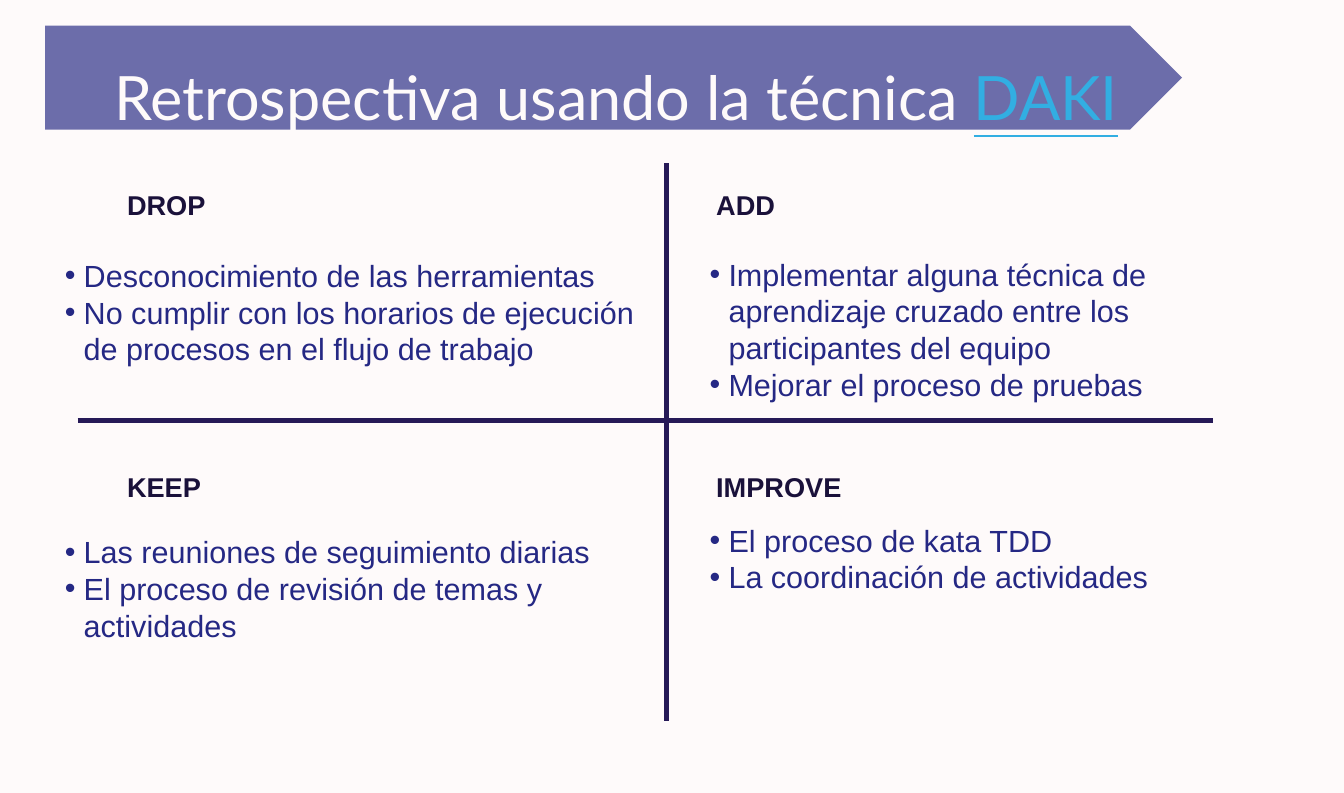
import pptx
import pptx.dml.color
import pptx.enum.shapes
import pptx.enum.text
import pptx.oxml.ns
import pptx.util
from lxml import etree

Inches = pptx.util.Inches
Pt = pptx.util.Pt
RGBColor = pptx.dml.color.RGBColor
Anchor = pptx.enum.text.MSO_ANCHOR
Align = pptx.enum.text.PP_ALIGN
AutoSize = pptx.enum.text.MSO_AUTO_SIZE

PAPER = RGBColor(0xFE, 0xFA, 0xFA)
INDIGO = RGBColor(0x25, 0x28, 0x84)
AXIS = RGBColor(0x26, 0x19, 0x57)
HEADING = RGBColor(0x1A, 0x11, 0x3A)
SKY = RGBColor(0x32, 0xAE, 0xE2)

TITLE_FONT = dict(name="Lato", size=Pt(72))
HEADING_FONT = dict(name="Arial", size=Pt(32), bold=True)
LIST_FONT = dict(name="Arial", size=Pt(36), bold=False)

COMPARISON_LAYOUT = 4
HEADING_LEFTS = (1.98, 11.62)
LIST_LEFTS = (0.96, 11.51)
HEADING_TOPS = (3.03, 7.65)

# Heading, top and height of its list, list items; row by row
QUADRANTS = [
    ("DROP", 4.15, 1.92, [
        "Desconocimiento de las herramientas",
        "No cumplir con los horarios de ejecución de procesos en el flujo de trabajo"]),
    ("ADD", 4.13, 2.52, [
        "Implementar alguna técnica de aprendizaje cruzado entre los participantes del equipo",
        "Mejorar el proceso de pruebas"]),
    ("KEEP", 8.67, 1.92, [
        "Las reuniones de seguimiento diarias",
        "El proceso de revisión de temas y actividades"]),
    ("IMPROVE", 8.48, 1.31, [
        "El proceso de kata TDD",
        "La coordinación de actividades"]),
]


def apply(target, values):
    for name, value in values.items():
        setattr(target, name, value)


def add_xml(parent, tag, **attributes):
    return etree.SubElement(parent, pptx.oxml.ns.qn(tag), attributes)


class RetroPage:
    """Draws the elements of one page in a shared style."""

    def __init__(self, page):
        self.page = page
        page.background.fill.solid()
        page.background.fill.fore_color.rgb = PAPER

    def place(self, shape, left, top, width, height):
        apply(shape, dict(left=Inches(left), top=Inches(top),
                          width=Inches(width), height=Inches(height)))

    def add_span(self, para, text, font, color):
        span = para.add_run()
        span.text = text
        apply(span.font, font)
        span.font.color.rgb = color

    def banner(self, left, top, width, height):
        arrow = self.page.shapes.add_shape(
            pptx.enum.shapes.MSO_SHAPE.PENTAGON,
            Inches(left), Inches(top), Inches(width), Inches(height))
        arrow.shadow.inherit = False
        arrow.line.fill.background()
        arrow.fill.solid()
        arrow.fill.fore_color.rgb = INDIGO
        color = arrow._element.spPr.find(".//" + pptx.oxml.ns.qn("a:srgbClr"))
        add_xml(color, "a:alpha", val="67000")
        # Bring the title in front of the banner
        title = self.page.shapes.title
        arrow._element.addnext(title._element)

    def title(self, left, top, width, height, parts):
        title = self.page.shapes.title
        self.place(title, left, top, width, height)
        apply(title.text_frame, dict(
            word_wrap=True, auto_size=AutoSize.NONE, vertical_anchor=Anchor.MIDDLE,
            margin_left=Inches(0.6)))
        para = title.text_frame.paragraphs[0]
        apply(para, dict(alignment=Align.CENTER, line_spacing=1.5, space_before=Pt(6)))
        for text, font, color in parts:
            self.add_span(para, text, font, color)

    def axis(self, x1, y1, x2, y2):
        line = self.page.shapes.add_connector(
            pptx.enum.shapes.MSO_CONNECTOR.STRAIGHT,
            Inches(x1), Inches(y1), Inches(x2), Inches(y2))
        line.line.color.rgb = AXIS
        line.line.width = Pt(6)
        add_xml(line._element.spPr, "a:effectLst")

    def heading(self, left, top, text):
        box = self.page.shapes.add_textbox(
            Inches(left), Inches(top), Inches(2.3), Inches(0.64))
        apply(box.text_frame, dict(word_wrap=True, auto_size=AutoSize.SHAPE_TO_FIT_TEXT))
        self.add_span(box.text_frame.paragraphs[0], text, HEADING_FONT, HEADING)

    def bullets(self, box, left, top, height, items):
        self.place(box, left, top, 9.7, height)
        frame = box.text_frame
        apply(frame, dict(word_wrap=True, auto_size=AutoSize.SHAPE_TO_FIT_TEXT,
                          vertical_anchor=Anchor.TOP))
        for number, item in enumerate(items):
            para = frame.add_paragraph() if number else frame.paragraphs[0]
            para.space_before = Pt(0)
            properties = para._p.get_or_add_pPr()
            properties.set("marL", str(Inches(0.31)))
            properties.set("indent", str(-Inches(0.31)))
            add_xml(properties, "a:buFont", typeface="Arial")
            add_xml(properties, "a:buChar", char="•")
            self.add_span(para, item, LIST_FONT, INDIGO)


def main():
    deck = pptx.Presentation()
    deck.slide_width, deck.slide_height = Inches(21.99), Inches(12.97)
    page = deck.slides.add_slide(deck.slide_layouts[COMPARISON_LAYOUT])
    retro = RetroPage(page)

    # Title on its arrow banner
    retro.banner(0.74, 0.42, 18.6, 1.7)
    retro.title(0.74, 0.42, 18.18, 1.7, [
        ("Retrospectiva usando la técnica ", TITLE_FONT, PAPER),
        ("DAKI", dict(TITLE_FONT, underline=True), SKY)])

    # Crossing axes
    retro.axis(1.27, 6.88, 19.84, 6.88)
    retro.axis(10.91, 2.67, 10.91, 11.79)

    # Four quadrants
    bodies = list(page.placeholders)[:4]
    bodies = [body for body in page.placeholders if body.placeholder_format.idx > 0]
    for number, (name, top, height, items) in enumerate(QUADRANTS):
        row, column = divmod(number, 2)
        retro.heading(HEADING_LEFTS[column], HEADING_TOPS[row], name)
        retro.bullets(bodies[number], LIST_LEFTS[column], top, height, items)

    deck.save("out.pptx")


if __name__ == "__main__":
    main()
